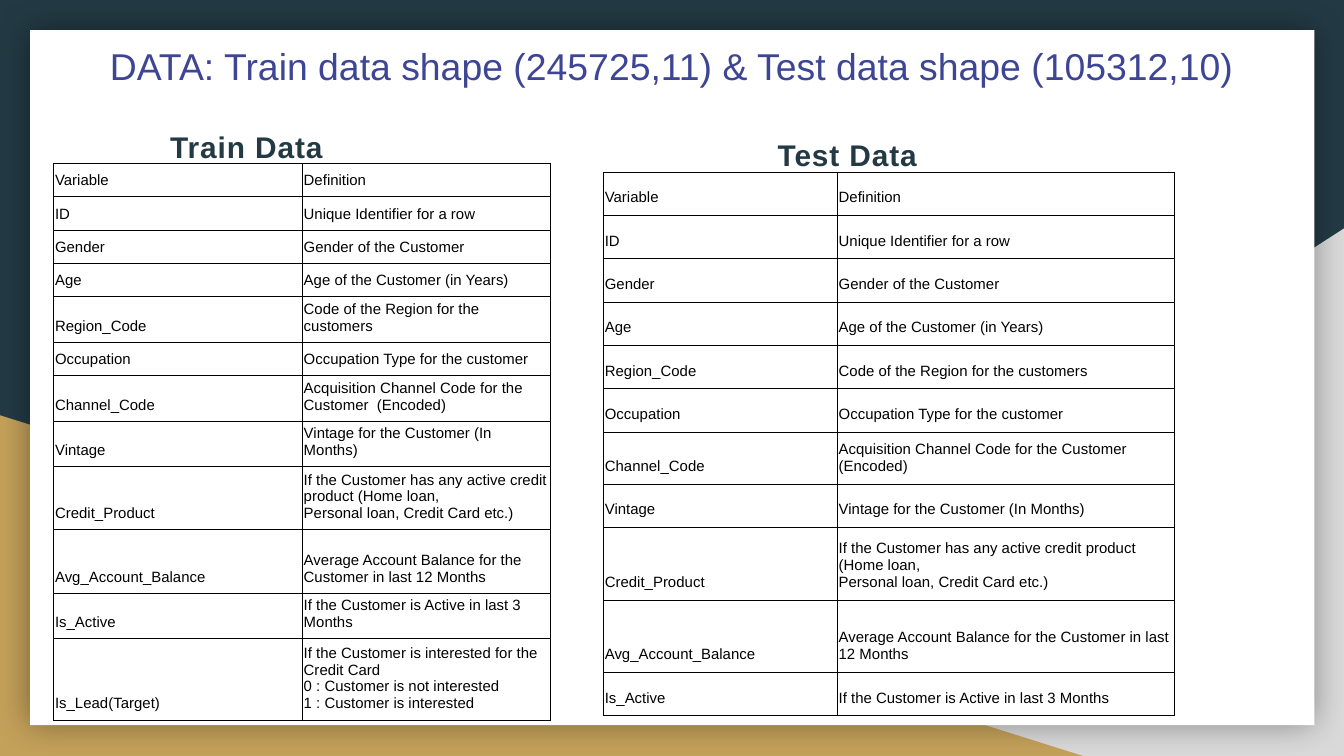
from copy import deepcopy
from dataclasses import dataclass

from lxml.etree import SubElement
from pptx import Presentation
from pptx.dml.color import RGBColor as RGB
from pptx.enum.shapes import MSO_SHAPE as SHAPE
from pptx.enum.text import MSO_ANCHOR as ANCHOR, MSO_AUTO_SIZE as AUTO, PP_ALIGN as ALIGN
from pptx.oxml.ns import qn
from pptx.util import Cm, Pt


@dataclass(frozen=True)
class Theme:
    font: str = "Arial"
    dark: str = "233A44"
    grey: str = "D9D9D9"
    gold: str = "C4A15A"
    white: str = "FFFFFF"
    black: str = "000000"
    title_stops: tuple = ((0, "1F224A"), (0.5, "3D4594"), (1, "7F86CA"))
    title_size: int = 20
    label_size: int = 16
    cell_size: int = 8
    border: float = 0.5


class Deck:
    def __init__(self, theme, width, height):
        self.theme = theme
        self.prs = Presentation()
        self.prs.slide_width, self.prs.slide_height = Cm(width), Cm(height)
        self.s = self.prs.slides.add_slide(self.prs.slide_layouts[6])
        self.paint(self.s.background.fill, theme.dark)

    def paint(self, fill, color):
        fill.solid()
        fill.fore_color.rgb = RGB.from_string(color)

    def shape(self, kind, box, color, flip=False):
        sp = self.s.shapes.add_shape(kind, *map(Cm, box))
        sp.shadow.inherit = False
        self.paint(sp.fill, color)
        sp.line.fill.background()
        if flip:
            sp._element.spPr.find(qn("a:xfrm")).set("flipH", "1")
        return sp

    def panel(self, box):
        sp = self.shape(SHAPE.RECTANGLE, box, self.theme.white)
        effects = sp._element.spPr.find(qn("a:effectLst"))
        glow = SubElement(effects, qn("a:outerShdw"), blurRad=str(Pt(18)), dist="0",
                          dir="0", algn="ctr", rotWithShape="0")
        color = SubElement(glow, qn("a:srgbClr"), val=self.theme.black)
        SubElement(color, qn("a:alpha"), val="40000")

    def run(self, p, text, size, color=None, bold=False):
        r = p.add_run()
        r.text = text
        r.font.name, r.font.size, r.font.bold = self.theme.font, Pt(size), bold
        if color:
            self.paint(r.font.fill, color)
        return r

    def text(self, box, text, size, color=None, bold=False):
        tf = self.s.shapes.add_textbox(*map(Cm, box)).text_frame
        tf.word_wrap = False
        tf.auto_size = AUTO.SHAPE_TO_FIT_TEXT
        p = tf.paragraphs[0]
        p.alignment = ALIGN.CENTER
        return self.run(p, text, size, color, bold)

    def title(self, box, text):
        r = self.text(box, text, self.theme.title_size)
        fill = r.font.fill
        fill.gradient()
        fill.gradient_angle = 270
        stops = r._r.get_or_add_rPr().find(".//" + qn("a:gsLst"))
        stops.insert(1, deepcopy(stops[0]))
        for stop, (position, color) in zip(fill.gradient_stops, self.theme.title_stops):
            stop.position = position
            stop.color.rgb = RGB.from_string(color)

    def label(self, box, text):
        r = self.text(box, text, self.theme.label_size, self.theme.dark, True)
        r._r.get_or_add_rPr().set("spc", "50")

    def borders(self, cell):
        tc_pr = cell._tc.get_or_add_tcPr()
        for side in ("lnL", "lnR", "lnT", "lnB"):
            ln = SubElement(tc_pr, qn("a:" + side), w=str(Pt(self.theme.border)))
            SubElement(SubElement(ln, qn("a:solidFill")), qn("a:srgbClr"), val=self.theme.black)

    def cell(self, cell, text, bottom):
        self.borders(cell)
        self.paint(cell.fill, self.theme.white)
        cell.vertical_anchor = ANCHOR.BOTTOM
        cell.margin_left = cell.margin_right = cell.margin_top = Cm(0.03)
        cell.margin_bottom = Cm(bottom)
        tf = cell.text_frame
        for i, line in enumerate(text.split("\n")):
            p = tf.add_paragraph() if i else tf.paragraphs[0]
            self.run(p, line, self.theme.cell_size, self.theme.black)

    def table(self, left, top, widths, heights, rows, bottom):
        frame = self.s.shapes.add_table(len(rows), len(widths), Cm(left), Cm(top),
                                        Cm(sum(widths)), Cm(sum(heights)))
        table = frame.table
        table.first_row = table.horz_banding = False
        for column, width in zip(table.columns, widths):
            column.width = Cm(width)
        for row, height, texts in zip(table.rows, heights, rows):
            row.height = Cm(height)
            for cell, text in zip(row.cells, texts):
                self.cell(cell, text, bottom)


VARIABLES = [
    ("Variable", "Definition"),
    ("ID", "Unique Identifier for a row"),
    ("Gender", "Gender of the Customer"),
    ("Age", "Age of the Customer (in Years)"),
    ("Region_Code", "Code of the Region for the customers"),
    ("Occupation", "Occupation Type for the customer"),
    ("Channel_Code", "Acquisition Channel Code for the Customer  (Encoded)"),
    ("Vintage", "Vintage for the Customer (In Months)"),
    ("Credit_Product", "If the Customer has any active credit product (Home loan,\n"
                       "Personal loan, Credit Card etc.)"),
    ("Avg_Account_Balance", "Average Account Balance for the Customer in last 12 Months"),
    ("Is_Active", "If the Customer is Active in last 3 Months"),
]
TARGET = ("Is_Lead(Target)", "If the Customer is interested for the Credit Card\n"
                             "0 : Customer is not interested\n"
                             "1 : Customer is interested")


def main():
    theme = Theme()
    deck = Deck(theme, 25.4, 14.29)
    deck.shape(SHAPE.RIGHT_TRIANGLE, (9.96, 4.32, 15.44, 9.97), theme.grey, flip=True)
    deck.shape(SHAPE.RIGHT_TRIANGLE, (0, 7.85, 20.47, 6.44), theme.gold)
    deck.panel((0.57, 0.57, 24.27, 13.14))

    deck.title((1.6, 0.69, 22.2, 1.12),
               "DATA: Train data shape (245725,11) & Test data shape (105312,10)")
    deck.label((14.4, 2.46, 3.23, 0.94), "Test Data")
    deck.label((2.92, 2.31, 3.48, 0.94), "Train Data")

    one, two = 0.63, 0.86
    train_heights = [one] * 4 + [two, one, two, two, 1.19, 1.2, two, 1.53]
    deck.table(1.01, 3.09, [4.7, 4.7], train_heights, VARIABLES + [TARGET], 0.15)

    test_heights = [0.82] * 6 + [0.98, 0.82, 1.37, 1.37, 0.82]
    deck.table(11.4, 3.25, [4.42, 6.38], test_heights, VARIABLES, 0.18)

    deck.prs.save("out.pptx")


if __name__ == "__main__":
    main()
